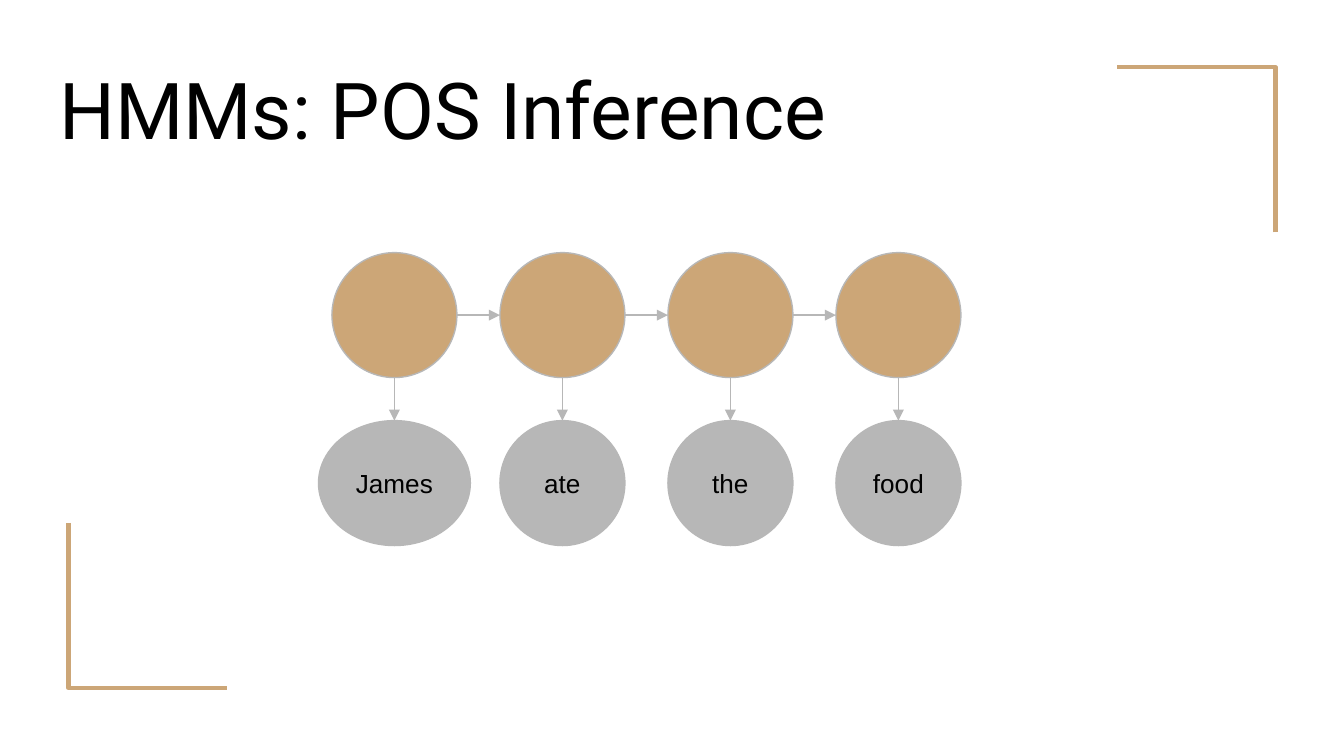
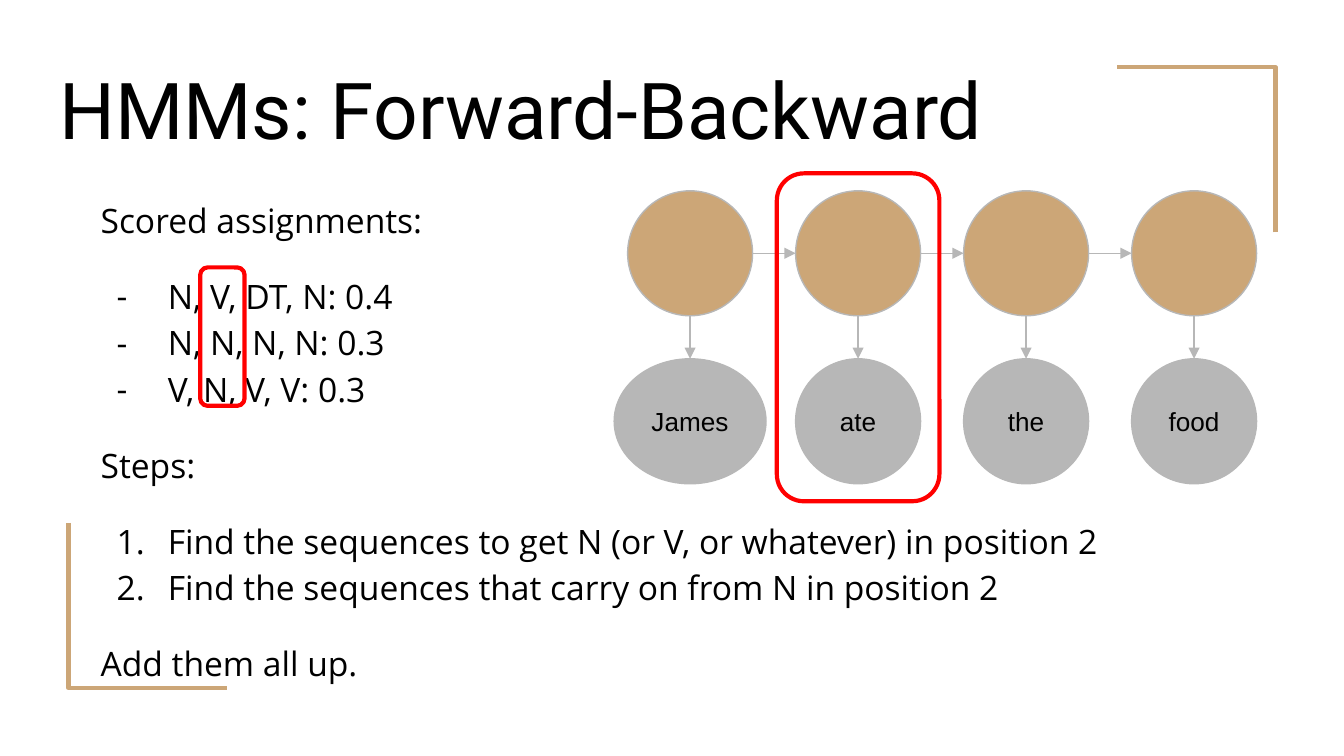
from lxml import etree
from pptx import Presentation
from pptx.dml.color import RGBColor
from pptx.enum.shapes import MSO_CONNECTOR, MSO_SHAPE
from pptx.enum.text import MSO_ANCHOR, MSO_AUTO_SIZE, PP_ALIGN
from pptx.oxml.ns import qn
from pptx.util import Inches, Pt

TAN, GRAY, RED, BLACK = "CCA677", "B7B7B7", "FF0000", "000000"
TITLE_FONT, BODY_FONT, NODE_FONT = "Roboto", "Open Sans", "Arial"
TITLE_ONLY = 5

BRACKETS = [
    [(9.49, 1.73), (9.49, 0.5), (8.31, 0.5)],
    [(0.51, 3.89), (0.51, 5.12), (1.69, 5.12)],
]
WORDS = ["James", "ate", "the", "food"]
NODE = 0.93
WIDE_NODE = 1.13
PITCH = 1.25

# Text, bullet (None, "-" or "1."), space before, space after
STEPS = [
    ("Scored assignments:", None, 0, 0),
    ("N, V, DT, N: 0.4", "-", 16, 0),
    ("N, N, N, N: 0.3", "-", 0, 0),
    ("V, N, V, V: 0.3", "-", 0, 0),
    ("Steps:", None, 16, 0),
    ("Find the sequences to get N (or V, or whatever) in position 2", "1.", 16, 0),
    ("Find the sequences that carry on from N in position 2", "1.", 0, 0),
    ("Add them all up.", None, 16, 16),
]


def rgb(color):
    return RGBColor.from_string(color)


def set_line(sp, color, width):
    sp.line.color.rgb = rgb(color)
    sp.line.width = Pt(width)


def set_frame(tf, anchor):
    tf.word_wrap = True
    tf.auto_size = MSO_AUTO_SIZE.NONE
    tf.vertical_anchor = anchor
    tf.margin_left = tf.margin_right = Inches(0.1)
    tf.margin_top = tf.margin_bottom = Inches(0.1)


def add_run(p, text, font, size):
    r = p.add_run()
    r.text = text
    r.font.name = font
    r.font.size = Pt(size)
    r.font.color.rgb = rgb(BLACK)


def add_bracket(slide, points):
    start, *rest = [(Inches(x), Inches(y)) for x, y in points]
    builder = slide.shapes.build_freeform(*start)
    builder.add_line_segments(rest, close=False)
    sp = builder.convert_to_shape()
    sp.shadow.inherit = False
    sp.fill.background()
    set_line(sp, TAN, 2.25)


def add_titled_slide(prs, title):
    """Add a slide with the corner brackets and the shared title style."""
    slide = prs.slides.add_slide(prs.slide_layouts[TITLE_ONLY])
    for points in BRACKETS:
        add_bracket(slide, points)
    sp = slide.shapes.title
    sp.left, sp.top = Inches(0.34), Inches(0.35)
    sp.width, sp.height = Inches(9.32), Inches(0.91)
    set_frame(sp.text_frame, MSO_ANCHOR.MIDDLE)
    p = sp.text_frame.paragraphs[0]
    p.alignment = PP_ALIGN.LEFT
    add_run(p, title, TITLE_FONT, 42)
    return slide


def add_node(slide, center_x, top, width, fill, text=""):
    sp = slide.shapes.add_shape(
        MSO_SHAPE.OVAL, Inches(center_x - width / 2), Inches(top),
        Inches(width), Inches(NODE))
    sp.shadow.inherit = False
    sp.fill.solid()
    sp.fill.fore_color.rgb = rgb(fill)
    set_line(sp, GRAY, 0.75)
    if text:
        set_frame(sp.text_frame, MSO_ANCHOR.MIDDLE)
        p = sp.text_frame.paragraphs[0]
        p.alignment = PP_ALIGN.CENTER
        add_run(p, text, NODE_FONT, 14)


def add_arrow(slide, x1, y1, x2, y2):
    cxn = slide.shapes.add_connector(
        MSO_CONNECTOR.STRAIGHT, Inches(x1), Inches(y1), Inches(x2), Inches(y2))
    set_line(cxn, GRAY, 0.75)
    etree.SubElement(cxn.line._get_or_add_ln(), qn("a:tailEnd"), type="triangle")
    etree.SubElement(cxn._element.spPr, qn("a:effectLst"))


def add_hmm(slide, left, top):
    """Draw a chain of hidden states, each emitting one word."""
    radius = NODE / 2
    for i, word in enumerate(WORDS):
        x = left + radius + i * PITCH
        add_node(slide, x, top, NODE, TAN)
        add_node(slide, x, top + PITCH, WIDE_NODE if i == 0 else NODE, GRAY, word)
        add_arrow(slide, x, top + NODE, x, top + PITCH)
        if i < len(WORDS) - 1:
            add_arrow(slide, x + radius, top + radius,
                      x + PITCH - radius, top + radius)


def add_bullet(p, mark):
    pPr = p._p.get_or_add_pPr()
    pPr.set("marL", str(Inches(0.5)))
    pPr.set("indent", str(Inches(-0.38)))
    color = etree.SubElement(pPr, qn("a:buClr"))
    etree.SubElement(color, qn("a:srgbClr"), val=BLACK)
    etree.SubElement(pPr, qn("a:buFont"), typeface=BODY_FONT)
    if mark == "1.":
        etree.SubElement(pPr, qn("a:buAutoNum"), type="arabicPeriod")
    else:
        etree.SubElement(pPr, qn("a:buChar"), char=mark)


def add_body(slide, items):
    box = slide.shapes.add_textbox(
        Inches(0.65), Inches(1.34), Inches(8.69), Inches(3.67))
    tf = box.text_frame
    set_frame(tf, MSO_ANCHOR.TOP)
    for i, (text, mark, before, after) in enumerate(items):
        p = tf.add_paragraph() if i else tf.paragraphs[0]
        if mark:
            add_bullet(p, mark)
        p.line_spacing = 1.15
        p.space_before, p.space_after = Pt(before), Pt(after)
        add_run(p, text, BODY_FONT, 18)


def add_highlight(slide, left, top, width, height):
    sp = slide.shapes.add_shape(
        MSO_SHAPE.ROUNDED_RECTANGLE, Inches(left), Inches(top),
        Inches(width), Inches(height))
    sp.shadow.inherit = False
    sp.fill.background()
    set_line(sp, RED, 2.25)


def main():
    prs = Presentation()
    prs.slide_width = Inches(10)
    prs.slide_height = Inches(10 * 9 / 16)

    inference = add_titled_slide(prs, "HMMs: POS Inference")
    add_hmm(inference, 2.47, 1.88)

    forward_backward = add_titled_slide(prs, "HMMs: Forward-Backward")
    add_body(forward_backward, STEPS)
    add_hmm(forward_backward, 4.67, 1.42)
    add_highlight(forward_backward, 1.49, 1.99, 0.33, 1.03)
    add_highlight(forward_backward, 5.78, 1.29, 1.21, 2.44)

    prs.save("out.pptx")


if __name__ == "__main__":
    main()
